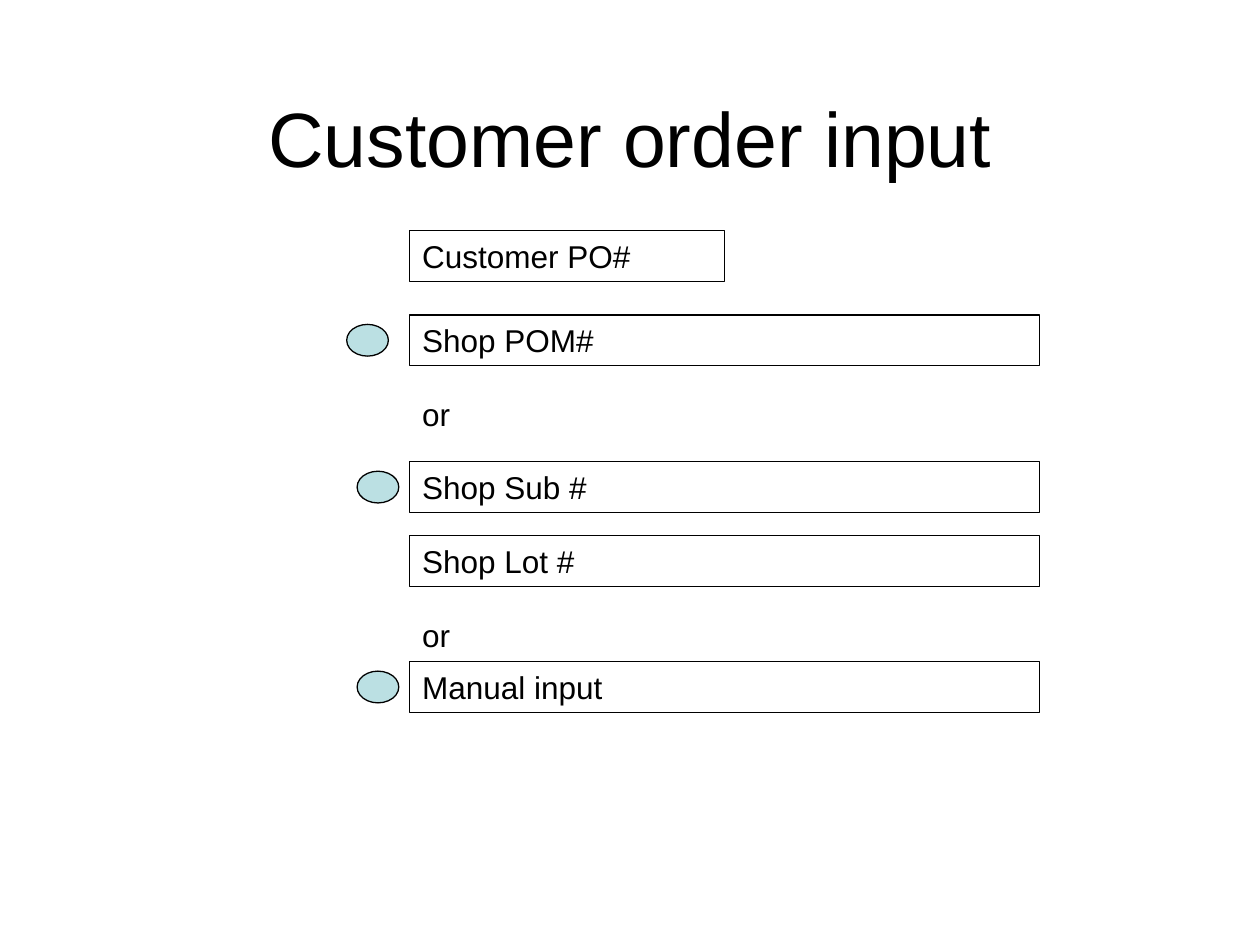
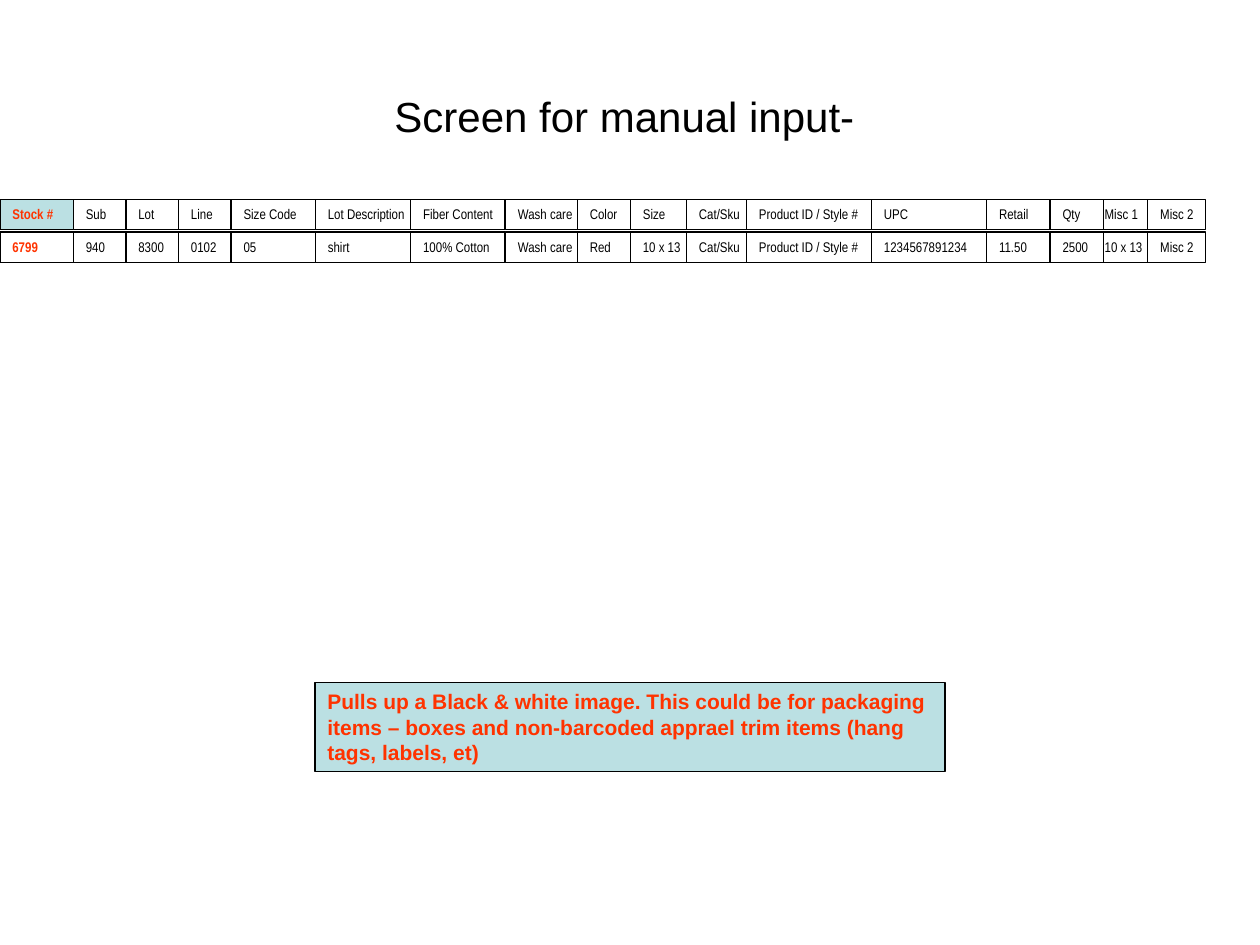
import pptx
import pptx.dml.color
import pptx.enum.shapes
import pptx.enum.text
import pptx.util

Cm = pptx.util.Cm
Pt = pptx.util.Pt
SHAPE = pptx.enum.shapes.MSO_SHAPE
ALIGN = pptx.enum.text.PP_ALIGN

COLORS = {"ink": "000000", "paper": "FFFFFF", "accent": "BBE0E3", "alert": "FF3300"}

TITLE_BOX = (1.91, 1.69, 21.59, 15.67)
FORM_BOX = (8.26, 4.65, 12.7, 1.02)
GRID_BOX = (0, 4.02, 0.61)
NOTE_BOX = (6.35, 13.76, 12.7, 1.79)
GRID_PITCH = 0.66
MARKER_SIZE = (0.84, 0.64)

# Each row: label, offset from the form's top, width share, marker's distance to its left.
FORM_ROWS = [
    ("Customer PO#", 0, 0.5, None),
    ("Shop POM#", 1.7, 1, 1.27),
    ("or", 3.18, 1, None),
    ("Shop Sub #", 4.66, 1, 1.06),
    ("Shop Lot #", 6.15, 1, None),
    ("or", 7.63, 1, None),
    ("Manual input", 8.69, 1, 1.06),
]

# Each column: heading, value, left, width; later columns cover earlier ones.
COLUMNS = [
    ("Stock #", "6799", 0, 1.48),
    ("Sub", "940", 1.48, 1.11),
    ("Lot", "8300", 2.54, 1.07),
    ("Line", "0102", 3.6, 1.07),
    ("Size Code", "05", 4.66, 1.71),
    ("Lot Description", "shirt", 6.36, 2.05),
    ("Fiber Content", "100% Cotton", 8.28, 1.9),
    ("Wash care", "Wash care", 10.19, 1.62),
    ("Color", "Red", 11.64, 1.21),
    ("Size", "10 x 13", 12.71, 1.2),
    ("Cat/Sku", "Cat/Sku", 13.84, 1.33),
    ("Product ID / Style #", "Product ID / Style #", 15.05, 2.52),
    ("UPC", "1234567891234", 17.57, 2.33),
    ("Misc 1", "10 x 13", 22.02, 1.22),
    ("Misc 2", "Misc 2", 23.14, 1.17),
    ("Retail", "11.50", 19.89, 1.27),
    ("Qty", "2500", 21.17, 1.07),
]


def rgb(name):
    """Return the named colour."""
    return pptx.dml.color.RGBColor.from_string(COLORS[name])


def write(sp, text, size=18, font="Arial", color="ink", bold=False,
          align=ALIGN.LEFT, right=0.25):
    """Put formatted text at the top of a shape."""
    tf = sp.text_frame
    tf.word_wrap = True
    tf.auto_size = pptx.enum.text.MSO_AUTO_SIZE.NONE
    tf.vertical_anchor = pptx.enum.text.MSO_ANCHOR.TOP
    tf.margin_left, tf.margin_right = Cm(0.25), Cm(right)
    tf.margin_top = tf.margin_bottom = Cm(0.13)
    p = tf.paragraphs[0]
    p.alignment = align
    r = p.add_run()
    r.text = text
    r.font.size, r.font.name, r.font.bold = Pt(size), font, bold
    r.font.color.rgb = rgb(color)


def add_outlined(shapes, box, fill=None, kind=SHAPE.RECTANGLE):
    """Add a thinly outlined shape, filled or clear."""
    sp = shapes.add_shape(kind, *map(Cm, box))
    sp.shadow.inherit = False
    if fill:
        sp.fill.solid()
        sp.fill.fore_color.rgb = rgb(fill)
    else:
        sp.fill.background()
    sp.line.color.rgb = rgb("ink")
    sp.line.width = Pt(0.75)
    return sp


def add_titled_slide(prs, text, size):
    """Add a slide with the shared title style."""
    s = prs.slides.add_slide(prs.slide_layouts[5])
    sp = s.shapes.title
    sp.left, sp.top, sp.width, sp.height = map(Cm, TITLE_BOX)
    write(sp, text, size=size, align=ALIGN.CENTER)
    return s


def add_form(s, box):
    """Stack the order fields, with a marker beside each choice."""
    left, top, width, height = box
    marker_w, marker_h = MARKER_SIZE
    for label, offset, share, marker_gap in FORM_ROWS:
        y = top + offset
        field = (left, y, width * share, height)
        if label == "or":
            sp = s.shapes.add_textbox(*map(Cm, field))
        else:
            sp = add_outlined(s.shapes, field)
        write(sp, label)
        if marker_gap:
            marker = (left - marker_gap, y + (height - marker_h) / 2, marker_w, marker_h)
            add_outlined(s.shapes, marker, "accent", SHAPE.OVAL)


def add_input_grid(s, box):
    """Lay out the heading cells and the value cells as two groups."""
    left, top, height = box
    for row in range(2):
        group = s.shapes.add_group_shape()
        for i, column in enumerate(COLUMNS):
            x, width = column[2:]
            is_stock = i == 0
            fill = "accent" if is_stock and row == 0 else "paper"
            cell = (left + x, top + row * GRID_PITCH, width, height)
            sp = add_outlined(group.shapes, cell, fill)
            write(sp, column[row], size=8, font="Arial Narrow", bold=is_stock,
                  color="alert" if is_stock else "ink", right=0)


def add_note(s, box):
    """Add the highlighted remark."""
    write(add_outlined(s.shapes, box, "accent"),
          "Pulls up a Black & white image. This could be for packaging items – boxes "
          "and non-barcoded apprael trim items (hang tags, labels, et)",
          size=12, color="alert", bold=True)


def main():
    """Build and save both slides."""
    prs = pptx.Presentation()
    prs.slide_width, prs.slide_height = Cm(25.4), Cm(19.05)
    s = add_titled_slide(prs, "Customer order input", 44)
    add_form(s, FORM_BOX)
    s = add_titled_slide(prs, "Screen for manual input- ", 24)
    add_note(s, NOTE_BOX)
    add_input_grid(s, GRID_BOX)
    prs.save("out.pptx")


if __name__ == "__main__":
    main()
